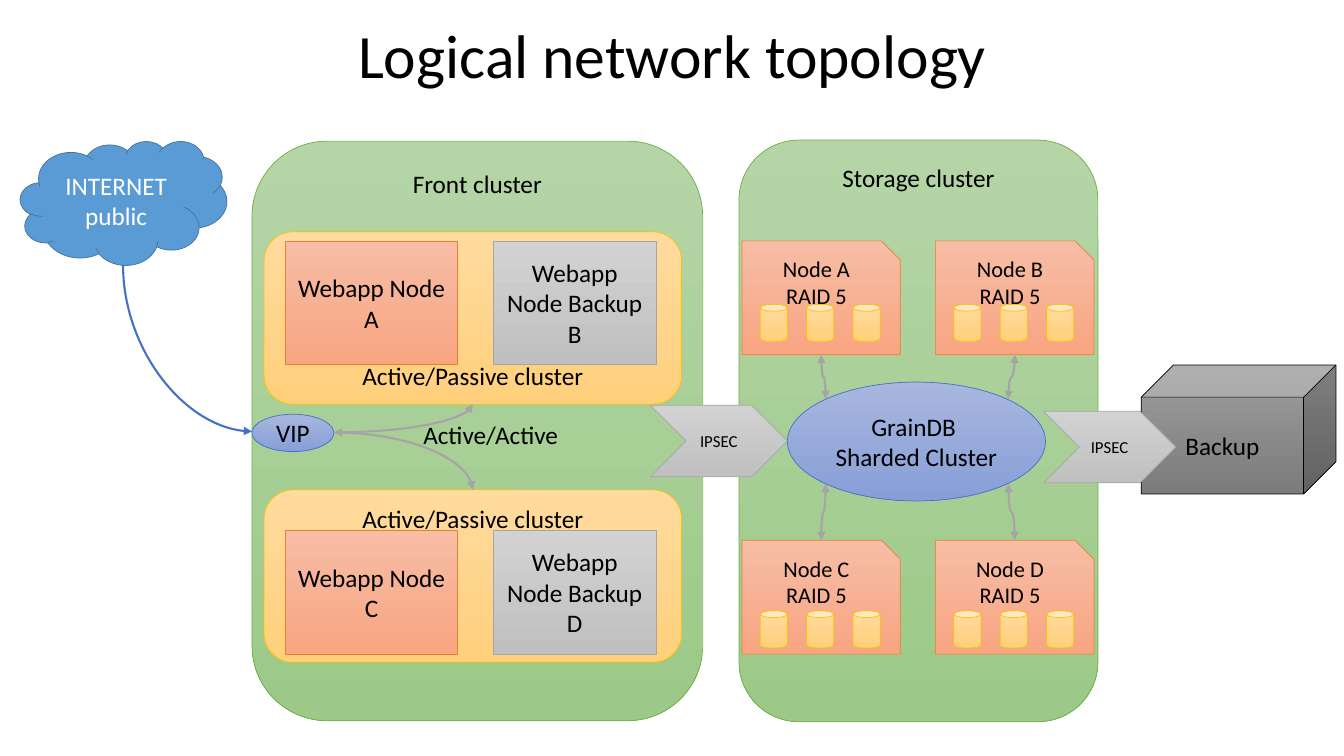
from dataclasses import dataclass
from lxml.etree import SubElement
from pptx import Presentation
from pptx.dml.color import RGBColor
from pptx.enum.shapes import MSO_CONNECTOR as Connector, MSO_SHAPE as Shape
from pptx.enum.text import MSO_ANCHOR as Anchor, MSO_AUTO_SIZE as AutoSize, PP_ALIGN as Align
from pptx.oxml.ns import qn
from pptx.util import Inches, Pt

# Content: a tuple holds separate paragraphs, a line feed is a break inside one
TITLE = "Logical network topology"
CLOUD = "INTERNET\npublic"
FRONT, STORAGE = "Front cluster", "Storage cluster"
PAIR_LABEL, BALANCING = "Active/Passive cluster", "Active/Active"
WEB_PAIRS = [("Webapp Node A", "Webapp Node Backup B"),
             ("Webapp Node C", "Webapp Node Backup D")]
STORAGE_NODES = [("Node A\nRAID 5", "Node B\nRAID 5"),
                 ("Node C\nRAID 5", "Node D\nRAID 5")]
DATABASE = ("GrainDB ", "Sharded Cluster")
VIP, TUNNEL, BACKUP = "VIP", "IPSEC", "Backup"


@dataclass(frozen=True)
class Theme:
    font: str = "Calibri"
    text: str = "000000"
    light_text: str = "FFFFFF"
    title: int = 44
    body: int = 18
    node: int = 16
    small: int = 12
    border: float = 0.5
    arrow: float = 1.5
    link: str = "4472C4"
    sync: str = "A5A5A5"
    # Each style is gradient top, gradient bottom, outline
    cloud: tuple = ("5B9BD5", "5B9BD5", "43739E")
    green: tuple = ("B5D5A7", "9CC987", "70AD47")
    gold: tuple = ("FFDB9E", "FFD07C", "FFC000")
    blue: tuple = ("A8B7DF", "889ED7", "4472C4")
    orange: tuple = ("F7BDA5", "F8A582", "ED7D31")
    gray: tuple = ("D2D2D2", "C0C0C0", "A5A5A5")
    dark: tuple = ("9D9D9D", "7C7C7C", "000000")


theme = Theme()

# Grid, in inches
PAIR_ROWS = (2.3, 4.86)
PAIR_LEFT, PAIR_WIDTH, PAIR_HEIGHT = 2.62, 4.14, 1.71
WEB_COLUMNS = ((2.83, 1.71), (4.89, 1.62))
WEB_ROWS, WEB_HEIGHT = (2.39, 5.26), 1.23
NODE_COLUMNS, NODE_ROWS = (7.36, 9.28), (2.39, 5.36)
NODE_WIDTH, NODE_HEIGHT = 1.57, 1.13
DISK_WIDTH, DISK_HEIGHT, DISK_INSET, DISK_STEP = 0.27, 0.37, 0.18, 0.46
DISK_DROPS = (0.63, 0.7)
DATABASE_PORTS = ((8.19, 10), (3.96, 4.8))

presentation = Presentation()
presentation.slide_width, presentation.slide_height = Inches(13.33), Inches(7.5)
slide = presentation.slides.add_slide(presentation.slide_layouts[5])


def write(shape, text, size=theme.body, color=theme.text, align=Align.CENTER,
          anchor=Anchor.MIDDLE, spacing=None, wrap=True):
    frame = shape.text_frame
    frame.word_wrap, frame.vertical_anchor = wrap, anchor
    lines = text if isinstance(text, tuple) else (text,)
    for index, line in enumerate(lines):
        paragraph = frame.add_paragraph() if index else frame.paragraphs[0]
        paragraph.text = line
        paragraph.alignment = align
        if spacing:
            paragraph.line_spacing = spacing
        for run in paragraph.runs:
            run.font.name, run.font.size = theme.font, Pt(size)
            run.font.color.rgb = RGBColor.from_string(color)


def add_box(kind, left, top, width, height, style, text=None, **text_format):
    shape = slide.shapes.add_shape(kind, *map(Inches, (left, top, width, height)))
    shape.shadow.inherit = False
    upper, lower, outline = style
    if upper == lower:
        shape.fill.solid()
        shape.fill.fore_color.rgb = RGBColor.from_string(upper)
    else:
        shape.fill.gradient()
        shape.fill.gradient_angle = 270
        for stop, color in zip(shape.fill.gradient_stops, (upper, lower)):
            stop.color.rgb = RGBColor.from_string(color)
    shape.line.color.rgb = RGBColor.from_string(outline)
    shape.line.width = Pt(theme.border)
    if text:
        write(shape, text, **text_format)
    return shape


def add_curve(start, end, color, preset="curvedConnector3", both_ends=True):
    """Curve that leaves its start vertically: a turned box with swapped sides."""
    (x1, y1), (x2, y2) = start, end
    dx, dy = x2 - x1, y2 - y1
    middle_x, middle_y = (x1 + x2) / 2, (y1 + y2) / 2
    half_width = abs(dy) / 2 * (-1 if dx > 0 else 1)
    half_height = abs(dx) / 2 * (-1 if dy < 0 else 1)
    connector = slide.shapes.add_connector(Connector.CURVE, *map(Inches, (
        middle_x - half_width, middle_y - half_height,
        middle_x + half_width, middle_y + half_height)))
    connector.line.color.rgb = RGBColor.from_string(color)
    connector.line.width = Pt(theme.arrow)
    properties = connector._element.spPr
    turn = 270 if dx * dy > 0 else 90
    properties.find(qn("a:xfrm")).set("rot", str(turn * 60000))
    properties.find(qn("a:prstGeom")).set("prst", preset)
    line = properties.find(qn("a:ln"))
    for tag in ("a:headEnd", "a:tailEnd") if both_ends else ("a:tailEnd",):
        SubElement(line, qn(tag)).set("type", "triangle")
    SubElement(properties, qn("a:effectLst"))


# Title
title = slide.shapes.title
title.left, title.top, title.width, title.height = map(Inches, (0.92, 0.18, 11.5, 0.81))
write(title, TITLE, size=theme.title, spacing=0.9)

# Internet and front cluster
add_box(Shape.CLOUD, 0.2, 1.4, 2.05, 1.23, theme.cloud, CLOUD, color=theme.light_text)
add_box(Shape.ROUNDED_RECTANGLE, 2.5, 1.4, 4.47, 5.75, theme.green, FRONT, anchor=Anchor.TOP)
for top, anchor in zip(PAIR_ROWS, (Anchor.BOTTOM, Anchor.TOP)):
    add_box(Shape.ROUNDED_RECTANGLE, PAIR_LEFT, top, PAIR_WIDTH, PAIR_HEIGHT,
            theme.gold, PAIR_LABEL, anchor=anchor)
add_curve((1.22, 2.63), (2.5, 4.28), theme.link, "curvedConnector2", both_ends=False)
add_box(Shape.OVAL, 2.5, 4.11, 0.81, 0.37, theme.blue, VIP)
for edge in (PAIR_ROWS[0] + PAIR_HEIGHT, PAIR_ROWS[1]):
    add_curve((PAIR_LEFT + PAIR_WIDTH / 2, edge), (3.31, 4.29), theme.sync, "curvedConnector2")
for top, pair in zip(WEB_ROWS, WEB_PAIRS):
    for (left, width), style, name in zip(WEB_COLUMNS, (theme.orange, theme.gray), pair):
        add_box(Shape.RECTANGLE, left, top, width, WEB_HEIGHT, style, name)
balancing = slide.shapes.add_textbox(*map(Inches, (4.1, 4.11, 1.56, 0.4)))
write(balancing, BALANCING, align=Align.LEFT, anchor=Anchor.TOP, wrap=False)
balancing.text_frame.auto_size = AutoSize.SHAPE_TO_FIT_TEXT

# Storage cluster: nodes with three disks each
add_box(Shape.ROUNDED_RECTANGLE, 7.33, 1.39, 3.56, 5.77, theme.green, STORAGE, anchor=Anchor.TOP)
for top, drop, names in zip(NODE_ROWS, DISK_DROPS, STORAGE_NODES):
    for left, name in zip(NODE_COLUMNS, names):
        add_box(Shape.SNIP_1_RECTANGLE, left, top, NODE_WIDTH, NODE_HEIGHT, theme.orange,
                name, size=theme.node, anchor=Anchor.TOP)
        for disk in range(3):
            add_box(Shape.CAN, left + DISK_INSET + disk * DISK_STEP, top + drop,
                    DISK_WIDTH, DISK_HEIGHT, theme.gold)

# Backup, tunnels and database
add_box(Shape.CUBE, 11.32, 3.62, 1.93, 1.28, theme.dark, BACKUP)
add_box(Shape.CHEVRON, 10.35, 4.08, 1.31, 0.71, theme.gray, TUNNEL, size=theme.small)
add_box(Shape.OVAL, 7.81, 3.79, 2.56, 1.18, theme.blue, DATABASE)
port_columns, port_rows = DATABASE_PORTS
for edge, port_y in zip((NODE_ROWS[0] + NODE_HEIGHT, NODE_ROWS[1]), port_rows):
    for left, port_x in zip(NODE_COLUMNS, port_columns):
        add_curve((left + NODE_WIDTH / 2, edge), (port_x, port_y), theme.sync)
add_box(Shape.CHEVRON, 6.45, 4.02, 1.36, 0.71, theme.gray, TUNNEL, size=theme.small)

presentation.save("out.pptx")
